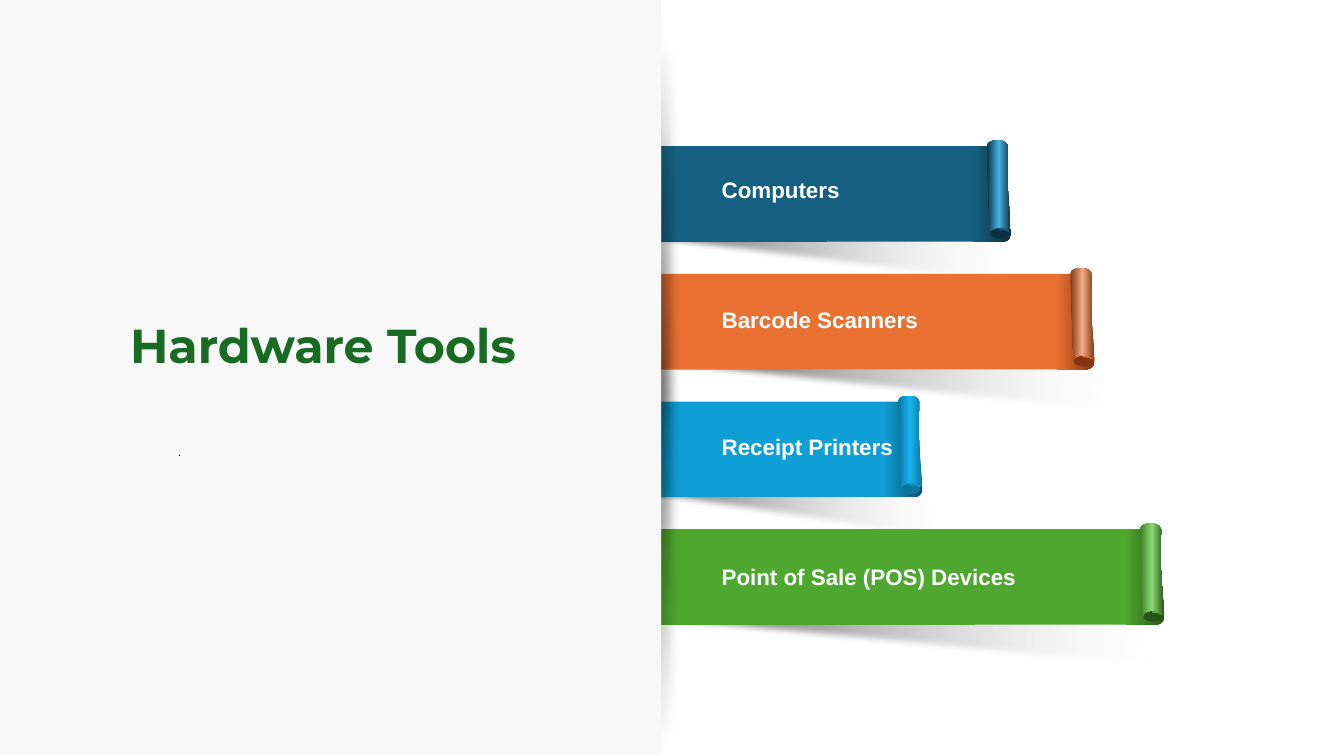
from pptx import Presentation
from pptx.dml.color import RGBColor
from pptx.enum.shapes import MSO_SHAPE
from pptx.enum.text import MSO_AUTO_SIZE
from pptx.oxml import parse_xml
from pptx.oxml.ns import nsdecls, qn
from pptx.util import Pt

RECT, OVAL = MSO_SHAPE.RECTANGLE, MSO_SHAPE.OVAL
FIT = MSO_AUTO_SIZE.SHAPE_TO_FIT_TEXT
NONE = MSO_AUTO_SIZE.NONE
PALE = "F8F8F8"
LEFT, TOP, STEP = 447.8, 104.4, 91.2

BANNERS = [
    ("Computers", 722.2, 367, 727, 126, 90,
     "156082", "0B3041", "0B3041", ("0B3041", "46B1E1", "0B3041")),
    ("Barcode Scanners", 781.9, 376, 803.5, 218.9, 142,
     "E97132", "80350E", "80350E", ("80350E", "F2AA84", "80350E")),
    ("Receipt Printers", 658.8, 376, 679, 309.6, 124,
     "0F9ED5", "084F6A", "0B76A0", ("0B76A0", "17B3EF", "0B76A0")),
    ("Point of Sale (POS) Devices", 831.6, 359.5, 831.6, 402.5, 213,
     "4EA72E", "275417", "275417", ("3B7D23", "8ED973", "275417")),
]


def color(code):
    return RGBColor.from_string(code)


def curve(a, b, c, d, count=12):
    points = []
    for i in range(count + 1):
        t = i / count
        u = 1 - t
        points.append(tuple(
            u**3 * p + 3 * u * u * t * q + 3 * u * t * t * r + t**3 * s
            for p, q, r, s in zip(a, b, c, d)))
    return points


EDGE = ([(-5, 0), (-5, 60), (-3.5, 59.8), (0, 59.6)]
        + curve((0, 62), (0, 62), (0, 63.4), (-0.7, 64.8))
        + curve((-1.5, 66.1), (-2.9, 67.5), (-4.3, 68.2), (-7.2, 68.2)))
FLAP = (curve((-1.5, 62), (-1.5, 60.5), (-4.3, 59.7), (-8.6, 59.7))
        + [(-8.6, 53.3), (-1.5, 53.3)])
ROLL = (curve((-15.1, 62.4), (-15.1, 60.2), (-11.9, 58.2), (-7.6, 58.2))
        + curve((-7.6, 58.2), (-3.2, 58.2), (0, 60.2), (0, 62.4))
        + curve((0, 62.4), (-2.2, 29.2), (-2.9, 32.8), (-2.2, 0.3))
        + curve((-2.2, 0.3), (-2.5, -2.2), (-5.8, -4.3), (-9.7, -4.1))
        + curve((-9.7, -4.1), (-13.7, -4.1), (-16.9, -2.5), (-17.3, -0.3)))


class Deck:
    def __init__(self):
        self.show = Presentation()
        self.show.slide_width, self.show.slide_height = Pt(960), Pt(540)
        self.slide = self.show.slides.add_slide(self.show.slide_layouts[6])
        self.items = self.slide.shapes

    def paint(self, shape, fill):
        shape.shadow.inherit = False
        shape.line.fill.background()
        if isinstance(fill, str):
            shape.fill.solid()
            shape.fill.fore_color.rgb = color(fill)
            return shape
        stops, angle = fill
        marks = "".join(
            f'<a:gs pos="{pos * 1000}"><a:srgbClr val="{code}">'
            f'<a:alpha val="{alpha * 1000}"/></a:srgbClr></a:gs>'
            for pos, code, alpha in stops)
        shape.fill.background()
        props = shape._element.spPr
        props.replace(props.find(qn("a:noFill")), parse_xml(
            f'<a:gradFill {nsdecls("a")} rotWithShape="1"><a:gsLst>{marks}'
            f'</a:gsLst><a:lin ang="{angle * 60000}" scaled="0"/></a:gradFill>'))
        return shape

    def effect(self, shape, tag, inner="", **attrs):
        text = " ".join(f'{key}="{val}"' for key, val in attrs.items())
        shape._element.spPr.find(qn("a:effectLst")).append(parse_xml(
            f'<a:{tag} {nsdecls("a")} {text}>{inner}</a:{tag}>'))

    def block(self, kind, x, y, w, h, fill):
        return self.paint(
            self.items.add_shape(kind, Pt(x), Pt(y), Pt(w), Pt(h)), fill)

    def outline(self, points, fill, x=0, y=0):
        spots = [(Pt(x + dx), Pt(y + dy)) for dx, dy in points]
        pen = self.items.build_freeform(*spots[0])
        pen.add_line_segments(spots[1:], close=True)
        return self.paint(pen.convert_to_shape(), fill)

    def text(self, words, x, y, w, h, size, font, code, bold=True, plain=True):
        box = self.items.add_textbox(Pt(x), Pt(y), Pt(w), Pt(h))
        frame = box.text_frame
        frame.word_wrap = not plain
        frame.auto_size = FIT if plain else NONE
        if plain:
            frame.margin_left = frame.margin_right = 0
            frame.margin_top = frame.margin_bottom = 0
        para = frame.paragraphs[0]
        para.text = words
        para.font.size, para.font.name = Pt(size), font
        para.font.bold, para.font.color.rgb = bold, color(code)
        return para

    def shade(self, left, right, y):
        notch = right - 0.052 * (right - left)
        shape = self.outline(
            [(left, y), (notch, y), (right, y + 45)],
            ([(26, "000000", 68), (100, "E8E8E8", 0)], 0))
        self.effect(shape, "softEdge", rad=Pt(5))

    def banner(self, right, y, base, dark, end, tones):
        start = LEFT - right
        self.outline([(start, 0), *EDGE, (start, 68.4)], base, right, y)
        self.outline([(-27.4, 0), *EDGE, (-27.4, 68.4)],
                     ([(0, base, 100), (100, dark, 100)], 0), right, y)
        self.block(OVAL, right - 15.1, y + 58.3, 13.7, 7.9, end)
        self.outline(FLAP, base, right, y)
        stops = [(50 * i, tone, 100) for i, tone in enumerate(tones)]
        self.outline(ROLL, (stops, 0), right, y)


def main():
    deck = Deck()
    for i, (_, _, left, right, *_) in enumerate(BANNERS):
        deck.shade(left, right, TOP + i * STEP + 57.5)
    for i, (_, right, _, _, _, _, *tones) in enumerate(BANNERS):
        deck.banner(right, TOP + i * STEP, *tones)

    deck.block(RECT, 0, 0, 472.3, 539.3, PALE)
    for words, _, _, _, y, w, *_ in BANNERS:
        deck.text(words, 515.5, y, w, 19.4, 16, "Arial", "FFFFFF")

    glow = [(0, "FFFFFF", 0), (50, "FFFFFF", 100), (100, "FFFFFF", 0)]
    strip = deck.block(RECT, 448.6, 25.2, 22.3, 508.3, (glow, 90))
    deck.effect(strip, "outerShdw",
                '<a:srgbClr val="000000"><a:alpha val="55000"/></a:srgbClr>',
                blurRad=Pt(8), dist=Pt(7), dir=0, algn="l", rotWithShape=0)
    deck.block(RECT, 447.8, 11.5, 24.5, 527.8, PALE)

    dot = deck.text(".", 120.2, 310.3, 235.4, 43.9, 10, "Montserrat",
                    "000000", bold=False, plain=False)
    dot.line_spacing, dot.space_before = 1.2, Pt(10)
    deck.text("Hardware Tools", 92.9, 225.4, 287.3, 41, 34, "Montserrat", "196B24")
    deck.show.save("out.pptx")


if __name__ == "__main__":
    main()
